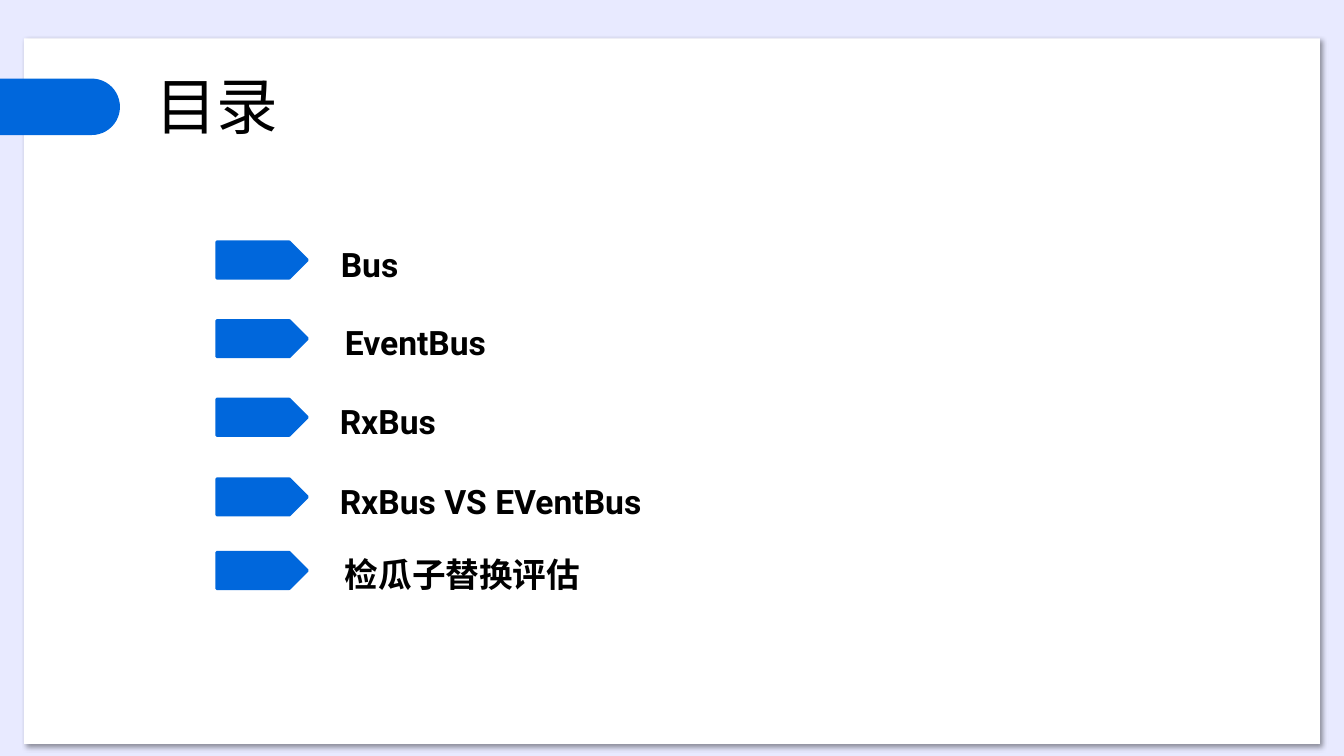
import dataclasses
import typing

import lxml.etree
import pptx
import pptx.dml.color
import pptx.enum.shapes
import pptx.enum.text
import pptx.oxml.ns
import pptx.util

Inches = pptx.util.Inches
Kind = pptx.enum.shapes.MSO_SHAPE


@dataclasses.dataclass(frozen=True)
class Theme:
    back: str = "E8EAFF"
    card: str = "FFFFFF"
    blue: str = "0067DC"
    ink: str = "000000"
    latin: str = "Roboto"
    asian: str = "Noto Sans CJK JP"
    head: int = 44
    item: int = 24
    pitch: int = 30
    edge: int = 2


@dataclasses.dataclass(frozen=True)
class Box:
    left: float
    top: float
    width: float
    height: float


@dataclasses.dataclass(frozen=True)
class Topic:
    text: str
    top: float
    indent: float


THEME = Theme()
CARD = Box(0.24, 0.38, 12.85, 7)
TAB = Box(-0.92, 0.78, 2.11, 0.56)
HEAD = Box(1.49, 0.7, 11.5, 0.77)
LIST = Box(3.32, 2.35, 4.4, 3.65)
TOPICS = [
    Topic("Bus", 2.4, 0.01),
    Topic("EventBus", 3.18, 0.05),
    Topic("RxBus", 3.96, 0),
    Topic("RxBus VS EVentBus", 4.75, 0),
    Topic("检瓜子替换评估", 5.48, 0.05),
]


def assign(target: typing.Any, values: dict[str, typing.Any]) -> None:
    for name, value in values.items():
        setattr(target, name, value)


def color(code: str) -> pptx.dml.color.RGBColor:
    return pptx.dml.color.RGBColor.from_string(code)


def lengths(box: Box) -> dict[str, int]:
    return {name: Inches(value) for name, value in dataclasses.asdict(box).items()}


def draw(slide: typing.Any, kind: Kind, box: Box, fill: str) -> typing.Any:
    shape = slide.shapes.add_shape(kind, *lengths(box).values())
    shape.shadow.inherit = False
    shape.fill.solid()
    shape.fill.fore_color.rgb = color(fill)
    shape.line.fill.background()
    return shape


def shade(shape: typing.Any) -> None:
    tag = pptx.oxml.ns.qn
    effects = shape.element.spPr.find(tag("a:effectLst"))
    outer = lxml.etree.SubElement(
        effects, tag("a:outerShdw"), blurRad=str(pptx.util.Pt(4)),
        dist=str(pptx.util.Pt(3)), dir=str(45 * 60000), algn="tl", rotWithShape="0")
    ink = lxml.etree.SubElement(outer, tag("a:srgbClr"), val=THEME.ink)
    lxml.etree.SubElement(ink, tag("a:alpha"), val="40000")


def place(holder: typing.Any, box: Box, anchor: typing.Any, fit: typing.Any) -> typing.Any:
    assign(holder, lengths(box))
    frame = holder.text_frame
    sides = ("left", "top", "right", "bottom")
    assign(frame, {f"margin_{side}": Inches(0.05) for side in sides})
    assign(frame, {"word_wrap": True, "vertical_anchor": anchor, "auto_size": fit})
    return frame


def write(para: typing.Any, text: str, size: int, face: str, bold: bool) -> None:
    para.alignment = pptx.enum.text.PP_ALIGN.LEFT
    run = para.add_run()
    run.text = text
    assign(run.font, {"size": pptx.util.Pt(size), "name": face, "bold": bold})
    run.font.color.rgb = color(THEME.ink)
    lxml.etree.SubElement(
        run.font._element, pptx.oxml.ns.qn("a:ea"), typeface=THEME.asian)


def enlist(frame: typing.Any) -> None:
    last = None
    for topic in TOPICS:
        para = frame.paragraphs[0] if last is None else frame.add_paragraph()
        props = para._p.get_or_add_pPr()
        assign_xml = {"marL": str(Inches(topic.indent)), "indent": "0"}
        props.attrib.update(assign_xml)
        lxml.etree.SubElement(props, pptx.oxml.ns.qn("a:buNone"))
        gap = 0 if last is None else (topic.top - last) * 72 - THEME.pitch
        assign(para, {
            "line_spacing": pptx.util.Pt(THEME.pitch),
            "space_before": pptx.util.Pt(round(gap, 1)),
            "space_after": pptx.util.Pt(0),
        })
        write(para, topic.text, THEME.item, THEME.latin, True)
        last = topic.top


def main() -> None:
    deck = pptx.Presentation()
    assign(deck, {"slide_width": Inches(13.33), "slide_height": Inches(7.5)})
    slide = deck.slides.add_slide(deck.slide_layouts[1])
    slide.background.fill.solid()
    slide.background.fill.fore_color.rgb = color(THEME.back)

    title, body = slide.placeholders
    card = draw(slide, Kind.ROUNDED_RECTANGLE, CARD, THEME.card)
    card.adjustments[0] = 0
    shade(card)
    title.element.addprevious(card.element)
    tab = draw(slide, Kind.ROUNDED_RECTANGLE, TAB, THEME.blue)
    tab.adjustments[0] = 0.5

    anchor = pptx.enum.text.MSO_ANCHOR
    fit = pptx.enum.text.MSO_AUTO_SIZE
    frame = place(title, HEAD, anchor.MIDDLE, fit.SHAPE_TO_FIT_TEXT)
    frame.paragraphs[0].line_spacing = 0.9
    write(frame.paragraphs[0], "目录", THEME.head, THEME.asian, False)
    enlist(place(body, LIST, anchor.TOP, fit.NONE))

    for topic in TOPICS:
        arrow = draw(slide, Kind.PENTAGON, Box(2.15, topic.top, 0.9, 0.36), THEME.blue)
        arrow.line.color.rgb = color(THEME.blue)
        arrow.line.width = pptx.util.Pt(THEME.edge)

    deck.save("out.pptx")


if __name__ == "__main__":
    main()
